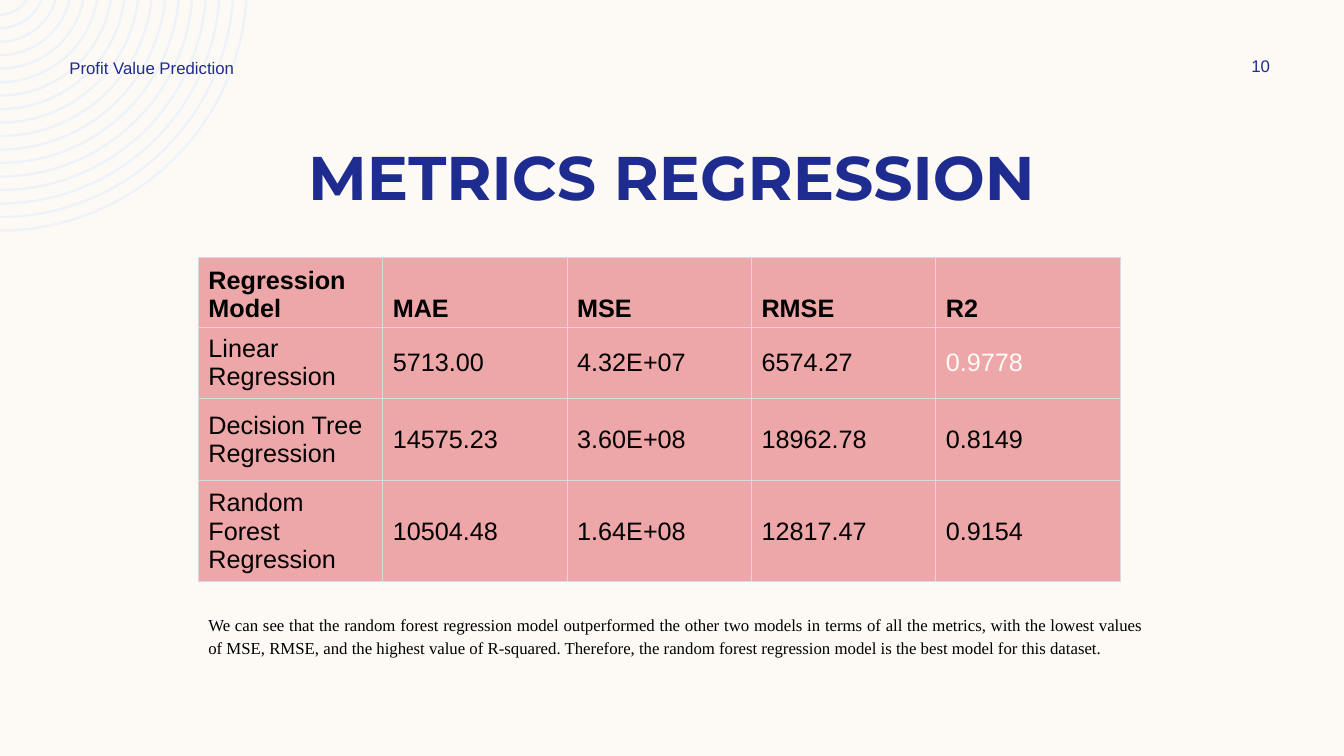
"""Build the regression metrics slide with its results table."""
import math

from lxml import etree
from pptx import Presentation
from pptx.dml.color import RGBColor
from pptx.enum.text import MSO_ANCHOR, PP_ALIGN
from pptx.oxml.ns import qn
from pptx.util import Cm, Pt

TOP, MIDDLE, BOTTOM = MSO_ANCHOR.TOP, MSO_ANCHOR.MIDDLE, MSO_ANCHOR.BOTTOM
LEFT, CENTER, JUSTIFY = PP_ALIGN.LEFT, PP_ALIGN.CENTER, PP_ALIGN.JUSTIFY
CREAM = RGBColor(0xFD, 0xFA, 0xF6)
PALE_BLUE = RGBColor(0xEE, 0xF3, 0xFA)
NAVY = RGBColor(0x1F, 0x2C, 0x8F)
PINK = RGBColor(0xEE, 0xA7, 0xA9)
GREY = RGBColor(0xD9, 0xD9, 0xE3)
BLACK = RGBColor(0, 0, 0)
OFF_WHITE = RGBColor(0xFD, 0xFB, 0xF6)


def add_text(box, text, font, size, color, align=LEFT, anchor=TOP):
    """Add a one-paragraph text box and return its paragraph."""
    tf = s.shapes.add_textbox(*(Cm(v) for v in box)).text_frame
    tf.word_wrap = True
    tf.vertical_anchor = anchor
    p = tf.paragraphs[0]
    p.text = text
    p.alignment = align
    p.font.name, p.font.size, p.font.color.rgb = font, Pt(size), color
    return p


def add_border(cell, index, side, width):
    """Draw one border of a table cell."""
    ln = etree.Element(qn(f"a:ln{side}"), w=str(Pt(width)))
    fill = etree.SubElement(ln, qn("a:solidFill"))
    etree.SubElement(fill, qn("a:srgbClr"), val=str(GREY))
    cell._tc.get_or_add_tcPr().insert(index, ln)


prs = Presentation()
prs.slide_width, prs.slide_height = Cm(33.87), Cm(19.05)
s = prs.slides.add_slide(prs.slide_layouts[6])
s.background.fill.solid()
s.background.fill.fore_color.rgb = CREAM

RINGS, OUTER, STEP, THICK, RISE = 17, 6.25, 0.34, 0.06, 0.41
rings = s.shapes.build_freeform(0, 0)
arcs = []
for i in range(RINGS):
    outer = OUTER - i * STEP
    inner = outer - THICK
    outer_x, inner_x = (Cm(math.sqrt(radius ** 2 - RISE ** 2)) for radius in (outer, inner))
    rings.move_to(outer_x, 0)
    rings.add_line_segments([(0, Cm(outer - RISE)), (0, Cm(inner - RISE)), (inner_x, 0)], close=True)
    outer_start, inner_start = (math.degrees(math.asin(RISE / radius)) for radius in (outer, inner))
    arcs += [(outer, outer_start, 90 - outer_start), None, (inner, 90, inner_start - 90)]
sp = rings.convert_to_shape()
for segment, arc in zip(list(sp._element.iter(qn("a:lnTo"))), arcs):
    if arc:
        radius, start, sweep = arc
        curve = etree.Element(qn("a:arcTo"), wR=str(Cm(radius)), hR=str(Cm(radius)),
                              stAng=str(round(start * 60000)), swAng=str(round(sweep * 60000)))
        segment.getparent().replace(segment, curve)
sp.shadow.inherit = False
sp.fill.solid()
sp.fill.fore_color.rgb = PALE_BLUE
sp.line.fill.background()

title = add_text((2.11, 3.38, 29.64, 2.13), "METRICS REGRESSION", "Montserrat", 44, NAVY, CENTER)
title.font.bold = True

METRICS = [
    ("Regression Model", "MAE", "MSE", "RMSE", "R2"),
    ("Linear Regression", "5713.00", "4.32E+07", "6574.27", "0.9778"),
    ("Decision Tree Regression", "14575.23", "3.60E+08", "18962.78", "0.8149"),
    ("Random Forest Regression", "10504.48", "1.64E+08", "12817.47", "0.9154"),
]
ROW_HEIGHTS = (1.45, 1.45, 2.08, 2.08)
last = len(METRICS) - 1
table = s.shapes.add_table(len(METRICS), len(METRICS[0]), Cm(5), Cm(6.48),
                           Cm(23.23), Cm(sum(ROW_HEIGHTS))).table
table.horz_banding = False
for r, values in enumerate(METRICS):
    table.rows[r].height = Cm(ROW_HEIGHTS[r])
    for c, value in enumerate(values):
        cell = table.cell(r, c)
        cell.text = value
        cell.vertical_anchor = MIDDLE if r else BOTTOM
        cell.fill.solid()
        cell.fill.fore_color.rgb = PINK
        font = cell.text_frame.paragraphs[0].font
        font.name, font.size, font.bold = "Arial", Pt(18), r == 0
        font.color.rgb = OFF_WHITE if value == "0.9778" else BLACK
        widths = (0.75, 0.75, 1 if r else 0.75, 1 if r < last else 0.75)
        for i, (side, width) in enumerate(zip("LRTB", widths)):
            add_border(cell, i, side, width)

add_text((30.4, 1.27, 2.74, 0.76), "10", "Arial", 12, NAVY, CENTER, MIDDLE)
summary = add_text(
    (5, 15.29, 24.08, 1.4),
    "We can see that the random forest regression model outperformed the other two models "
    "in terms of all the metrics, with the lowest values of MSE, RMSE, and the highest value "
    "of R-squared. Therefore, the random forest regression model is the best model for this "
    "dataset.",
    "Times New Roman", 12, BLACK, JUSTIFY)
summary.line_spacing = 1.15
summary.space_after = Pt(8)
add_text((1.5, 1.32, 8.89, 0.76), "Profit Value Prediction", "Arial", 12, NAVY, anchor=MIDDLE)

prs.save("out.pptx")
